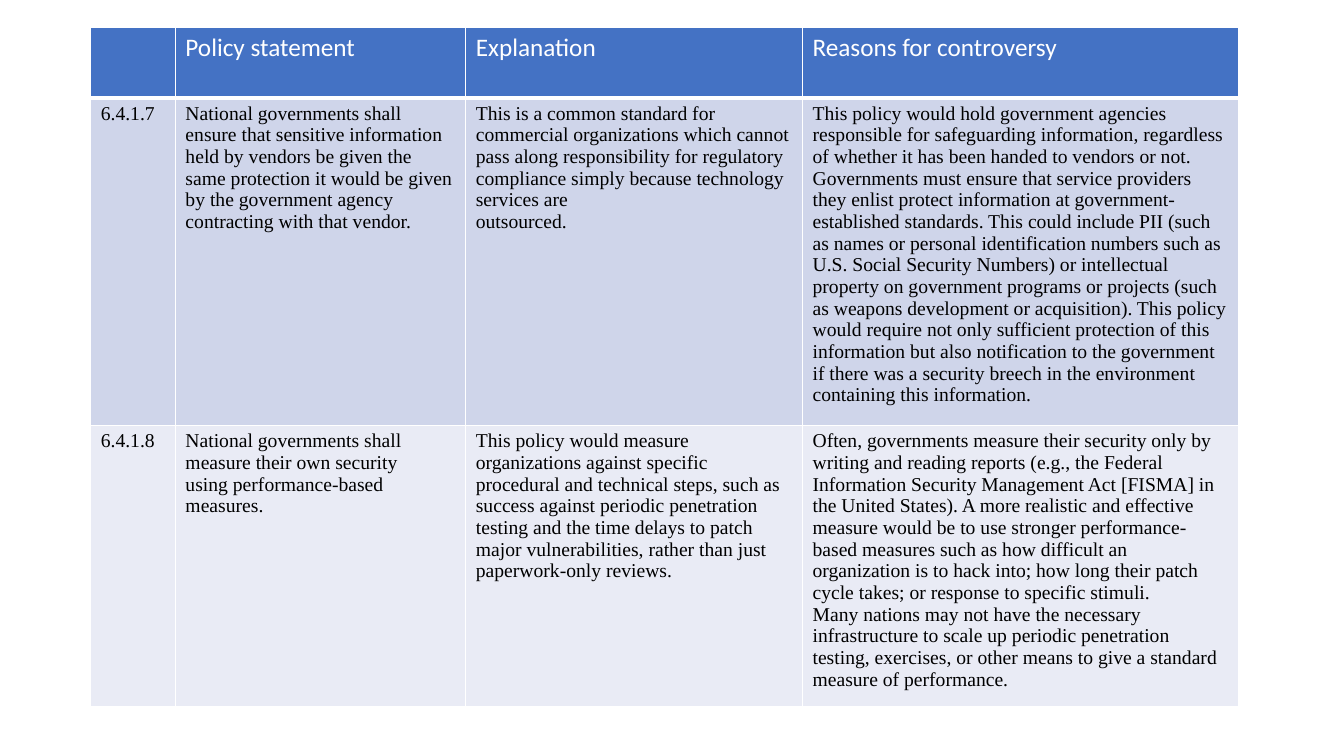
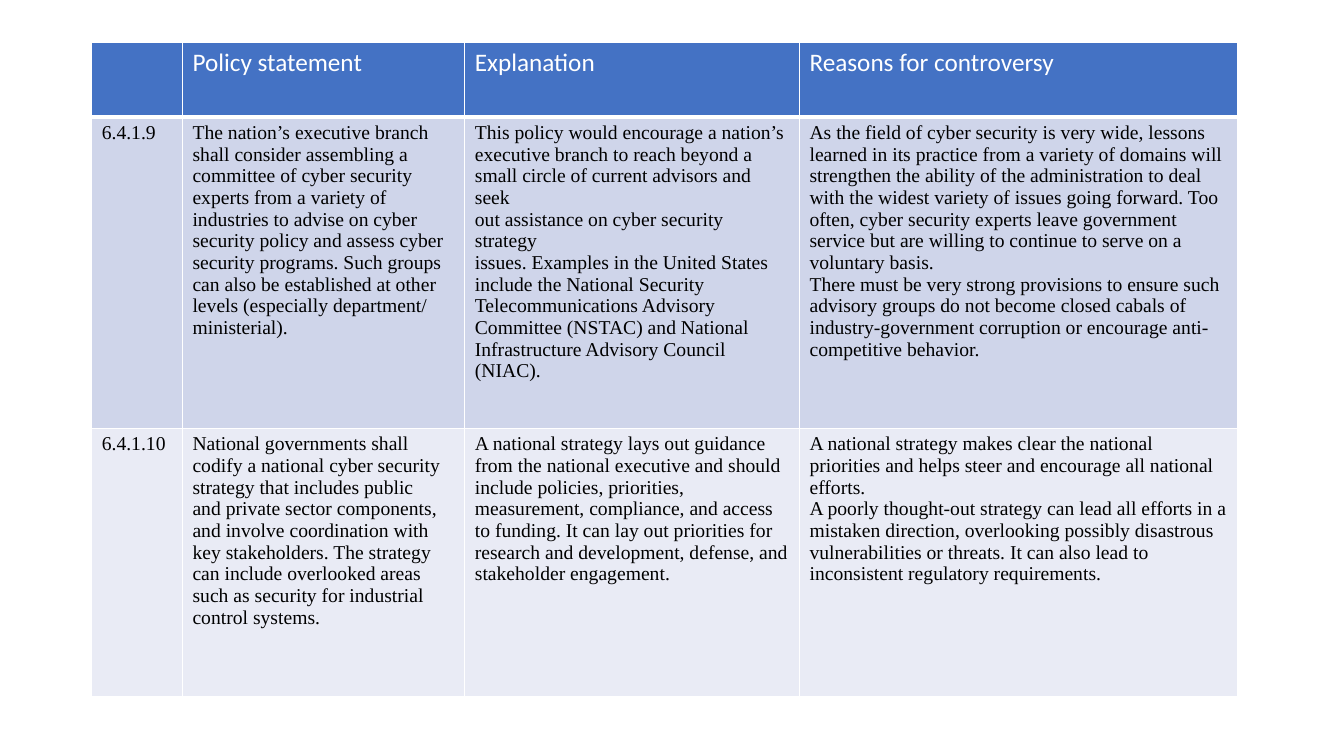
from dataclasses import dataclass

from lxml.etree import SubElement
from pptx import Presentation
from pptx.dml.color import RGBColor as RGB
from pptx.enum.text import MSO_ANCHOR as Anchor, PP_ALIGN as Align
from pptx.oxml.ns import qn
from pptx.util import Inches, Pt


# Theme: colours, fonts and type sizes
@dataclass(frozen=True)
class Theme:
    header_fill: str = "4472C4"
    band_fills: tuple = ("CFD5EA", "E9EBF5")
    rule: str = "FFFFFF"
    thin: int = 1
    thick: int = 3
    header_text: tuple = ("Calibri", 18, "FFFFFF")
    body_text: tuple = ("Times New Roman", 14, "000000")


HEADERS = ("", "Policy statement", "Explanation", "Reasons for controversy")


class Deck:
    def __init__(self, theme):
        self.theme = theme
        self.prs = Presentation()
        self.prs.slide_width, self.prs.slide_height = Inches(13.33), Inches(7.5)
        self.s = None

    def add_slide(self):
        self.s = self.prs.slides.add_slide(self.prs.slide_layouts[6])

    def fill_text(self, cell, text, style):
        name, size, color = style
        cell.text = text
        cell.vertical_anchor = Anchor.TOP
        for p in cell.text_frame.paragraphs:
            p.alignment = Align.LEFT
            for r in p.runs:
                for key, value in {"name": name, "size": Pt(size), "bold": False}.items():
                    setattr(r.font, key, value)
                r.font.color.rgb = RGB.from_string(color)

    def border(self, cell, **widths):
        tc_pr = cell._tc.get_or_add_tcPr()
        for side in "LRTB":
            width = widths.get(side, self.theme.thin)
            ln = SubElement(tc_pr, qn(f"a:ln{side}"), w=str(Pt(width)))
            fill = SubElement(ln, qn("a:solidFill"))
            SubElement(fill, qn("a:srgbClr"), val=self.theme.rule)

    def add_policy_table(self, left, top, widths, heights, policies):
        t = self.theme
        rows = [HEADERS, *policies]
        table = self.s.shapes.add_table(
            len(rows), len(HEADERS), Inches(left), Inches(top),
            Inches(sum(widths)), Inches(sum(heights))).table
        for column, width in zip(table.columns, widths):
            column.width = Inches(width)
        for i, (row, height, texts) in enumerate(zip(table.rows, heights, rows)):
            row.height = Inches(height)
            color = t.band_fills[(i - 1) % 2] if i else t.header_fill
            edges = {0: {"B": t.thick}, 1: {"T": t.thick}}.get(i, {})
            for cell, text in zip(row.cells, texts):
                self.fill_text(cell, text, t.body_text if i else t.header_text)
                self.border(cell, **edges)
                cell.fill.solid()
                cell.fill.fore_color.rgb = RGB.from_string(color)


# Content: number, statement, explanation, reasons
PROTECTION_AND_MEASURES = [
    ("6.4.1.7",
     "National governments shall ensure that sensitive information held by vendors be given "
     "the same protection it would be given by the government agency contracting with that "
     "vendor.",
     "This is a common standard for commercial organizations which cannot pass along "
     "responsibility for regulatory compliance simply because technology services are\n"
     "outsourced.",
     "This policy would hold government agencies responsible for safeguarding information, "
     "regardless of whether it has been handed to vendors or not.\n"
     "Governments must ensure that service providers they enlist protect information at "
     "government-established standards. This could include PII (such as names or personal "
     "identification numbers such as U.S. Social Security Numbers) or intellectual property "
     "on government programs or projects (such as weapons development or acquisition). This "
     "policy would require not only sufficient protection of this information but also "
     "notification to the government if there was a security breech in the environment "
     "containing this information."),
    ("6.4.1.8",
     "National governments shall\n"
     "measure their own security\n"
     "using performance-based\n"
     "measures.",
     "This policy would measure organizations against specific procedural and technical "
     "steps, such as success against periodic penetration testing and the time delays to "
     "patch major vulnerabilities, rather than just paperwork-only reviews.",
     "Often, governments measure their security only by writing and reading reports (e.g., "
     "the Federal Information Security Management Act [FISMA] in the United States). A more "
     "realistic and effective measure would be to use stronger performance-based measures "
     "such as how difficult an organization is to hack into; how long their patch cycle "
     "takes; or response to specific stimuli.\n"
     "Many nations may not have the necessary infrastructure to scale up periodic "
     "penetration testing, exercises, or other means to give a standard measure of "
     "performance."),
]

ADVICE_AND_STRATEGY = [
    ("6.4.1.9",
     "The nation’s executive branch\n"
     "shall consider assembling a\n"
     "committee of cyber security\n"
     "experts from a variety of industries to advise on cyber\n"
     "security policy and assess cyber\n"
     "security programs. Such groups\n"
     "can also be established at other\n"
     "levels (especially department/\n"
     "ministerial).",
     "This policy would encourage a nation’s\n"
     "executive branch to reach beyond a\n"
     "small circle of current advisors and seek\n"
     "out assistance on cyber security strategy\n"
     "issues. Examples in the United States\n"
     "include the National Security Telecommunications Advisory\n"
     "Committee (NSTAC) and National\n"
     "Infrastructure Advisory Council (NIAC).",
     "As the field of cyber security is very wide, lessons learned in its practice from a "
     "variety of domains will strengthen the ability of the administration to deal with the "
     "widest variety of issues going forward. Too often, cyber security experts leave "
     "government service but are willing to continue to serve on a\n"
     "voluntary basis.\n"
     "There must be very strong provisions to ensure such advisory groups do not become "
     "closed cabals of industry-government corruption or encourage anti-competitive "
     "behavior."),
    ("6.4.1.10",
     "National governments shall codify a national cyber security\n"
     "strategy that includes public\n"
     "and private sector components,\n"
     "and involve coordination with\n"
     "key stakeholders. The strategy\n"
     "can include overlooked areas\n"
     "such as security for industrial\n"
     "control systems.",
     "A national strategy lays out guidance from the national executive and should\n"
     "include policies, priorities, measurement, compliance, and access to funding. It can "
     "lay out priorities for research and development, defense, and stakeholder engagement.",
     "A national strategy makes clear the national priorities and helps steer and encourage "
     "all national efforts.\n"
     "A poorly thought-out strategy can lead all efforts in a mistaken direction, "
     "overlooking possibly disastrous vulnerabilities or threats. It can also lead to "
     "inconsistent regulatory requirements."),
]


def main():
    deck = Deck(Theme())

    # Slide 1: vendor protection and security measures
    deck.add_slide()
    deck.add_policy_table(0.9, 0.27, (0.84, 2.88, 3.34, 4.33), (0.7, 3.25, 2.79),
                          PROTECTION_AND_MEASURES)

    # Slide 2: advisory committee and national strategy
    deck.add_slide()
    deck.add_policy_table(0.91, 0.42, (0.9, 2.8, 3.32, 4.35), (0.74, 3.09, 2.66),
                          ADVICE_AND_STRATEGY)

    deck.prs.save("out.pptx")


if __name__ == "__main__":
    main()
